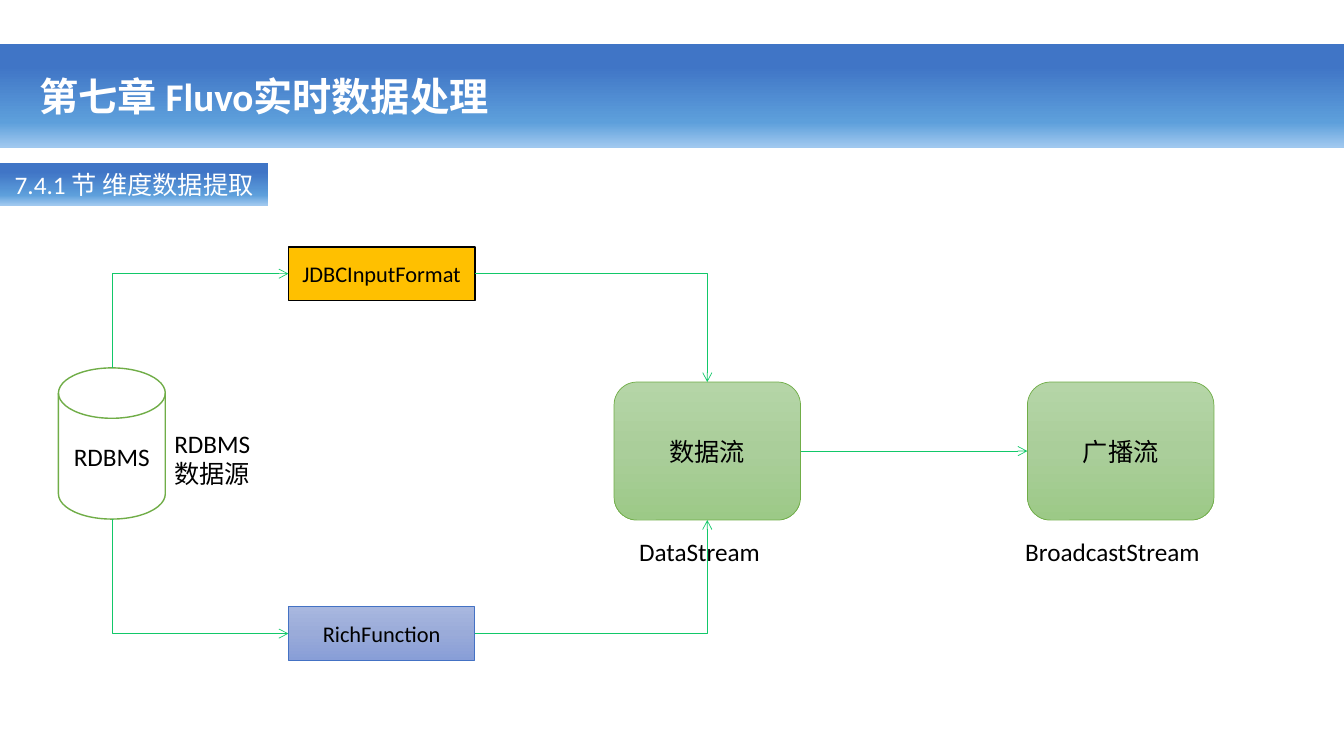
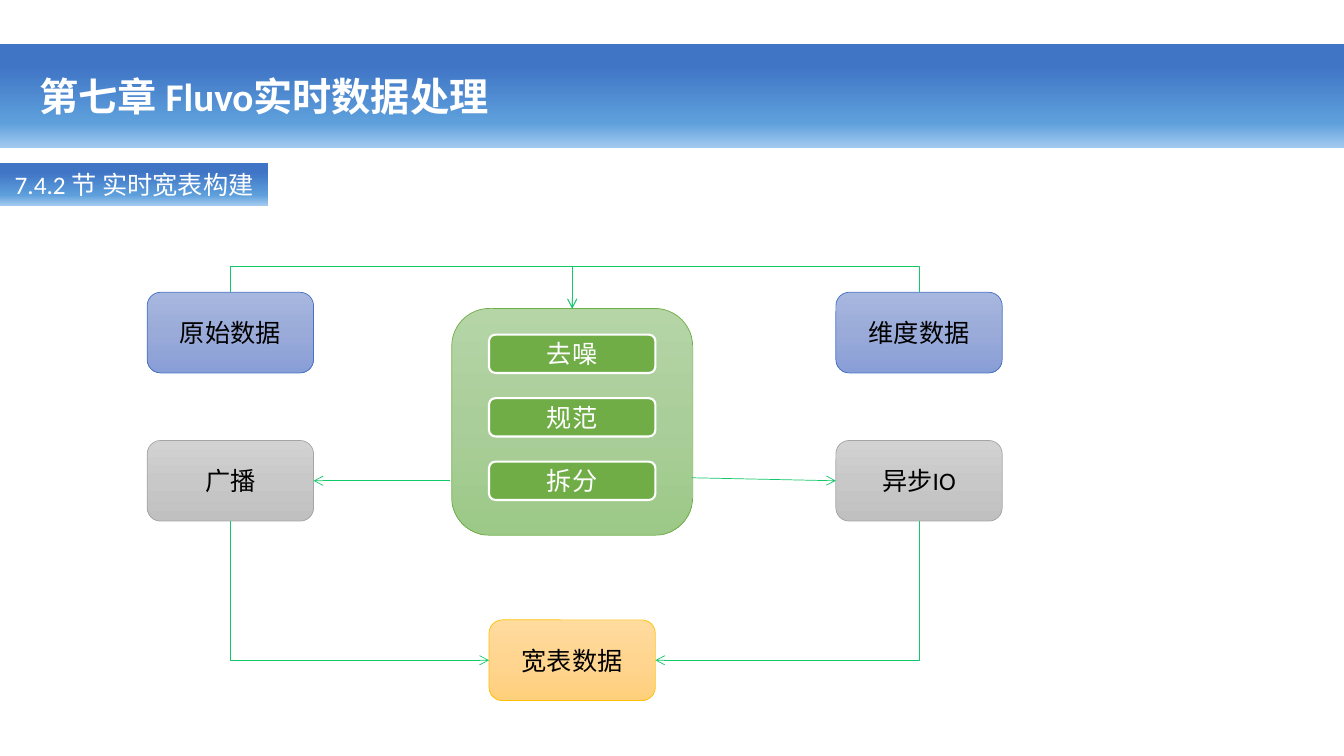
from lxml import etree
from pptx import Presentation
from pptx.dml.color import RGBColor
from pptx.enum import shapes, text
from pptx.oxml.ns import qn
from pptx.util import Inches, Pt

FONT = "Calibri"
BLACK = RGBColor(0x00, 0x00, 0x00)
WHITE = RGBColor(0xFF, 0xFF, 0xFF)
GREEN = RGBColor(0x70, 0xAD, 0x47)
BLUE = RGBColor(0x44, 0x72, 0xC4)
GOLD = RGBColor(0xFF, 0xC0, 0x00)
GREY = RGBColor(0xA5, 0xA5, 0xA5)
ARROW = RGBColor(0x12, 0xC8, 0x69)


def ramp(positions, *colours):
    return [(at, RGBColor.from_string(colour)) for at, colour in zip(positions, colours)]


THIRDS = (0, 50, 100)
BAND_RAMP = ramp((21, 75, 99), "4075C6", "5D9FDB", "A0C8EF")
GREEN_RAMP = ramp(THIRDS, "B5D5A7", "AACE9A", "9CC987")
BLUE_RAMP = ramp(THIRDS, "A8B7DF", "9AABD9", "889ED7")
GOLD_RAMP = ramp(THIRDS, "FFDB9E", "FFD590", "FFD07C")
GREY_RAMP = ramp(THIRDS, "D2D2D2", "C8C8C8", "C0C0C0")

# Each style is fill, line colour, line width and text colour.
BAND = (BAND_RAMP, None, 0, WHITE)
GREEN_SOFT = (GREEN_RAMP, GREEN, 0.5, BLACK)
BLUE_SOFT = (BLUE_RAMP, BLUE, 0.5, BLACK)
GOLD_SOFT = (GOLD_RAMP, GOLD, 0.5, BLACK)
GREY_SOFT = (GREY_RAMP, GREY, 0.5, BLACK)
GOLD_SOLID = (GOLD, BLACK, 1, BLACK)
GREEN_SOLID = (GREEN, WHITE, 1.5, WHITE)
DISK = (WHITE, GREEN, 1, BLACK)

RECT = shapes.MSO_SHAPE.RECTANGLE
ROUND = shapes.MSO_SHAPE.ROUNDED_RECTANGLE
TOP, LEFT, BOTTOM, RIGHT = range(4)


def write(frame, words, align=text.PP_ALIGN.LEFT, anchor=text.MSO_ANCHOR.TOP, wrap=False, **font):
    """Fill a text frame, one paragraph per line of words."""
    frame.text = words
    frame.word_wrap = wrap
    frame.vertical_anchor = anchor
    colour = font.pop("colour", BLACK)
    looks = {"name": FONT, "size": Pt(18), **font}
    for para in frame.paragraphs:
        para.alignment = align
        for span in para.runs:
            for name, value in looks.items():
                setattr(span.font, name, value)
            span.font.color.rgb = colour


def paint(box, fill):
    """Fill with one colour, or from top to bottom with a list of stops."""
    if isinstance(fill, RGBColor):
        box.fill.solid()
        box.fill.fore_color.rgb = fill
        return
    box.fill.gradient()
    box.fill.gradient_angle = 270
    stops = box.element.spPr.find(qn("a:gradFill")).find(qn("a:gsLst"))
    for stop in list(stops):
        stops.remove(stop)
    for position, colour in fill:
        stop = etree.SubElement(stops, qn("a:gs"), pos=str(position * 1000))
        etree.SubElement(stop, qn("a:srgbClr"), val=str(colour))


def add_box(page, kind, place, style, words="", size=18):
    fill, line, width, colour = style
    box = page.shapes.add_shape(kind, *map(Inches, place))
    box.shadow.inherit = False
    paint(box, fill)
    if line is None:
        box.line.fill.background()
    else:
        box.line.color.rgb = line
        box.line.width = Pt(width)
    if words:
        write(box.text_frame, words, text.PP_ALIGN.CENTER, text.MSO_ANCHOR.MIDDLE,
              size=Pt(size), colour=colour)
    return box


def add_label(page, place, words):
    box = page.shapes.add_textbox(*map(Inches, place))
    write(box.text_frame, words, wrap=True)
    box.text_frame.auto_size = text.MSO_AUTO_SIZE.SHAPE_TO_FIT_TEXT


def side(box, number):
    """Middle of one side of a box."""
    across, down = ((1, 0), (0, 1), (1, 2), (2, 1))[number]
    return box.left + box.width * across // 2, box.top + box.height * down // 2


def finish_arrow(line):
    line.line.color.rgb = ARROW
    line.line.width = Pt(0.5)
    properties = line.element.spPr
    etree.SubElement(properties.find(qn("a:ln")), qn("a:tailEnd"), type="arrow")
    etree.SubElement(properties, qn("a:effectLst"))


def add_straight(page, end_box, end_side, begin_box=None, begin_side=None, start=(0, 0)):
    """Arrow joined to end_box, from a side of begin_box or a free start point."""
    line = page.shapes.add_connector(shapes.MSO_CONNECTOR.STRAIGHT, *start, *side(end_box, end_side))
    if begin_box is not None:
        line.begin_connect(begin_box, begin_side)
    line.end_connect(end_box, end_side)
    finish_arrow(line)


def add_elbow(page, start, end, upright=False, turn=None):
    """Bent arrow; upright leaves vertically, turn is the height of a middle run."""
    (x1, y1), (x2, y2) = start, end
    place = (x1, y1, x2, y2)
    if upright:
        middle_x, middle_y = (x1 + x2) // 2, (y1 + y2) // 2
        half_width = abs(y2 - y1) // 2
        half_height = abs(x2 - x1) // 2
        if (x2 > x1) == (y2 > y1):
            half_height = -half_height
        place = (middle_x - half_width, middle_y - half_height,
                 middle_x + half_width, middle_y + half_height)
    line = page.shapes.add_connector(shapes.MSO_CONNECTOR.ELBOW, *place)
    properties = line.element.spPr
    if upright:
        degrees = 90 if y2 > y1 else 270
        properties.find(qn("a:xfrm")).set("rot", str(degrees * 60000))
    geometry = properties.find(qn("a:prstGeom"))
    if turn is None:
        geometry.set("prst", "bentConnector2")
    else:
        share = round((turn - y1) / (y2 - y1) * 100000)
        guides = geometry.find(qn("a:avLst"))
        etree.SubElement(guides, qn("a:gd"), name="adj1", fmla=f"val {share}")
    finish_arrow(line)


def add_page(deck, section):
    """Slide with the chapter band and the section tag."""
    page = deck.slides.add_slide(deck.slide_layouts[5])
    title = page.shapes.title
    band = add_box(page, RECT, (0, 0.44, 13.33, 1.03), BAND)
    title.element.addprevious(band.element)
    place = dict(left=0.29, top=0.67, width=5.01, height=0.57)
    for name, value in place.items():
        setattr(title, name, Inches(value))
    write(title.text_frame, "第七章 Fluvo实时数据处理", size=Pt(28), bold=True, colour=WHITE)
    add_box(page, RECT, (0, 1.62, 2.66, 0.42), BAND, section)
    return page


def build_extraction(deck):
    page = add_page(deck, "7.4.1 节 维度数据提取")
    stream, broadcast = [
        add_box(page, ROUND, (left, 3.79, 1.85, 1.37), GREEN_SOFT, words)
        for left, words in ((6.09, "数据流"), (10.19, "广播流"))]
    source = add_box(page, shapes.MSO_SHAPE.FLOWCHART_MAGNETIC_DISK,
                     (0.58, 3.65, 1.06, 1.5), DISK, "RDBMS")
    add_label(page, (6.24, 5.27, 1.55, 0.4), "DataStream")
    add_label(page, (10.07, 5.27, 2.08, 0.4), "BroadcastStream")
    add_label(page, (1.63, 4.2, 1.02, 0.71), "RDBMS\n数据源")

    readers = ((2.45, GOLD_SOLID, "JDBCInputFormat", TOP),
               (6.02, BLUE_SOFT, "RichFunction", BOTTOM))
    for top, style, words, edge in readers:
        reader = add_box(page, RECT, (2.86, top, 1.85, 0.53), style, words, 16)
        add_elbow(page, side(source, edge), side(reader, LEFT), upright=True)
        add_elbow(page, side(reader, RIGHT), side(stream, edge))
    add_straight(page, broadcast, LEFT, stream, RIGHT)


def build_wide_table(deck):
    page = add_page(deck, "7.4.2 节 实时宽表构建")
    panel = add_box(page, ROUND, (4.48, 3.06, 2.39, 2.25), GREEN_SOFT)
    for row, step in enumerate(("去噪", "规范", "拆分")):
        add_box(page, ROUND, (4.85, 3.32 + 0.63 * row, 1.65, 0.38), GREEN_SOLID, step)
    result = add_box(page, ROUND, (4.85, 6.15, 1.65, 0.8), GOLD_SOFT, "宽表数据")

    columns = ((1.46, "原始数据", "广播", RIGHT, LEFT, (4.46, 4.77)),
               (8.29, "维度数据", "异步IO", LEFT, RIGHT, (6.86, 4.74)))
    for left, data, method, inner, outer, start in columns:
        data_box = add_box(page, ROUND, (left, 2.9, 1.65, 0.8), BLUE_SOFT, data)
        method_box = add_box(page, ROUND, (left, 4.37, 1.65, 0.8), GREY_SOFT, method)
        add_elbow(page, side(data_box, TOP), side(panel, TOP), upright=True, turn=Inches(2.64))
        add_straight(page, method_box, inner, start=tuple(map(Inches, start)))
        add_elbow(page, side(method_box, BOTTOM), side(result, outer), upright=True)


def main():
    deck = Presentation()
    deck.slide_width = Inches(13.33)
    deck.slide_height = Inches(7.5)
    build_extraction(deck)
    build_wide_table(deck)
    deck.save("out.pptx")


if __name__ == "__main__":
    main()
